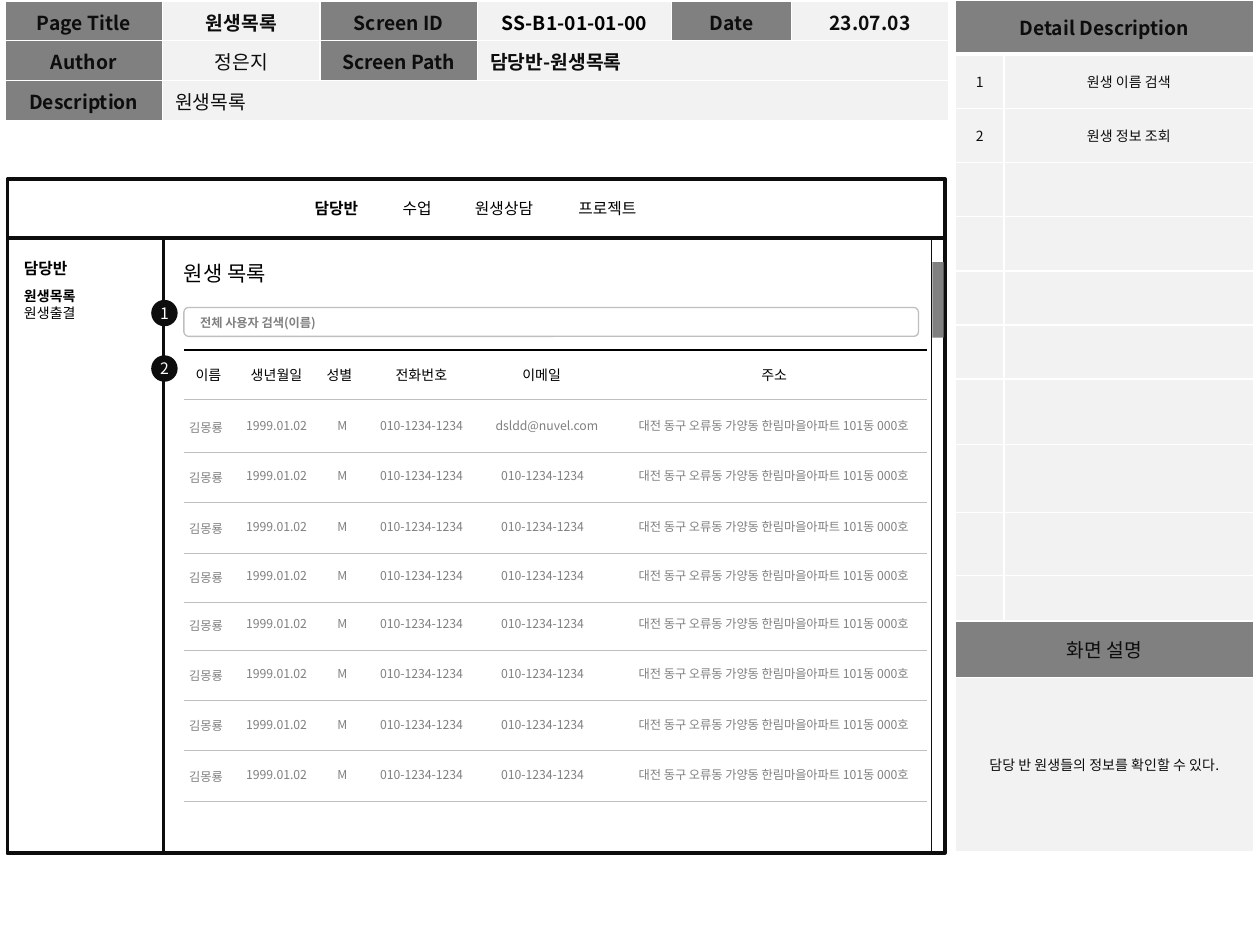
from dataclasses import dataclass
from itertools import accumulate
from lxml.etree import SubElement as Sub
from pptx import Presentation
from pptx.dml.color import RGBColor as Rgb
from pptx.enum.shapes import MSO_CONNECTOR as Conn, MSO_SHAPE as Kind
from pptx.enum.text import MSO_ANCHOR as Anchor, MSO_AUTO_SIZE as Fit, PP_ALIGN as Align
from pptx.oxml.ns import qn
from pptx.util import Inches, Pt


@dataclass(frozen=True)
class Theme:
    face: str = "Noto Sans CJK KR"
    ink: str = "0D0D0D"
    black: str = "000000"
    gray: str = "808080"
    rule: str = "BFBFBF"
    pale: str = "F2F2F2"
    white: str = "FFFFFF"
    head: int = 12
    label: int = 11
    menu: int = 9
    note: int = 8
    data: int = 7


T = Theme()
WIDE, HIGH = Inches(10), Inches(7.5)
COLS, ROWS = 100, 75


def col(n):
    return round(WIDE * n / COLS)


def row(n):
    return round(HIGH * n / ROWS)


def area(x, y, w, h):
    return col(x), row(y), col(w), row(h)


def put(item, **form):
    for key, val in form.items():
        setattr(item, key, val)


def write(par, text, size, color=T.black, bold=False, align=Align.CENTER):
    par.alignment = align
    run = par.add_run()
    run.text = text
    put(run.font, name=T.face, size=Pt(size), bold=bold)
    run.font.color.rgb = Rgb.from_string(color)
    Sub(run.font._element, qn("a:ea"), typeface=T.face)


def label(slide, box, text, size, side=None, **form):
    frame = slide.shapes.add_textbox(*area(*box)).text_frame
    put(frame, word_wrap=False, auto_size=Fit.SHAPE_TO_FIT_TEXT)
    if side is not None:
        put(frame, margin_left=col(side), margin_right=col(side))
    write(frame.paragraphs[0], text, size, **form)


def block(slide, kind, box, fill=None, line=None, width=1):
    shape = slide.shapes.add_shape(kind, *area(*box))
    shape.shadow.inherit = False
    for part, color in ((shape.fill, fill), (shape.line.fill, line)):
        if color:
            part.solid()
            part.fore_color.rgb = Rgb.from_string(color)
        else:
            part.background()
    if line:
        shape.line.width = Pt(width)
    return shape


def rule(slide, y, color, width):
    line = slide.shapes.add_connector(Conn.STRAIGHT, col(14.6), row(y), col(73.6), row(y))
    line.line.color.rgb = Rgb.from_string(color)
    line.line.width = Pt(width)
    Sub(line._element.spPr, qn("a:effectLst"))


def badge(slide, y, text):
    frame = block(slide, Kind.OVAL, (12, y, 2.1, 2.1), fill=T.ink).text_frame
    put(frame, margin_left=0, margin_right=0, margin_top=0, margin_bottom=0,
        word_wrap=False, vertical_anchor=Anchor.MIDDLE)
    write(frame.paragraphs[0], text, T.menu, T.white)


def paint(cell, fill, base=1):
    props = cell._tc.get_or_add_tcPr()
    for side in "LRTB":
        edge = Sub(props, qn(f"a:ln{side}"), w=str(Pt(base if side == "B" else 1)))
        Sub(Sub(edge, qn("a:solidFill")), qn("a:srgbClr"), val=T.white)
    cell.fill.solid()
    cell.fill.fore_color.rgb = Rgb.from_string(fill)
    cell.vertical_anchor = Anchor.MIDDLE
    cell.text_frame.paragraphs[0]._p.get_or_add_endParaRPr().set("sz", str(T.note * 100))


def grid(slide, at, cols, rows):
    shape = slide.shapes.add_table(len(rows), len(cols), *area(*at, sum(cols), sum(rows)))
    table = shape.table
    put(table, first_row=False, horz_banding=False)
    for part, size in zip(table.columns, cols):
        part.width = col(size)
    for part, size in zip(table.rows, rows):
        part.height = row(size)
    return table


def fill_cell(table, r, c, text, size, **form):
    write(table.cell(r, c).text_frame.paragraphs[0], text, size, **form)


def info(slide):
    table = grid(slide, (0.4, 0.1), (12.5, 12.5, 12.5, 15.4, 9.5, 12.5), (3.1, 3.2, 3.2))
    lines = (("Page Title", "원생목록", "Screen ID", "SS-B1-01-01-00", "Date", "23.07.03"),
             ("Author", "정은지", "Screen Path", "담당반-원생목록"),
             ("Description", "원생목록"))
    for r, texts in enumerate(lines):
        last = len(texts) - 1
        for c in range(6):
            paint(table.cell(r, c), T.gray if c <= last and c % 2 == 0 else T.pale)
        if last < 5:
            table.cell(r, last).merge(table.cell(r, 5))
        for c, text in enumerate(texts):
            fill_cell(table, r, c, text, T.label,
                      color=T.black if text.startswith("SS") else T.ink,
                      bold=c % 2 == 0 or r == 0 or "-" in text,
                      align=Align.LEFT if r and c == last else Align.CENTER)


def details(slide):
    heights = [4.3] * 7 + [5.2, 5.4, 5, 3.6, 4.5, 13.8]
    table = grid(slide, (75.8, 0), (3.9, 19.8), heights)
    for r in range(len(heights)):
        for c in range(2):
            paint(table.cell(r, c), T.gray if r in (0, 11) else T.pale, 1 if r else 3)
    for r, text, size in ((0, "Detail Description", T.label), (11, "화면 설명", T.label),
                          (12, "담당 반 원생들의 정보를 확인할 수 있다.", T.note)):
        table.cell(r, 0).merge(table.cell(r, 1))
        fill_cell(table, r, 0, text, size, color=T.ink, bold=r == 0)
    for r, text in enumerate(("원생 이름 검색", "원생 정보 조회"), 1):
        fill_cell(table, r, 0, str(r), T.note, color=T.ink)
        fill_cell(table, r, 1, text, T.note, color=T.ink)


def roster(slide):
    for x, w, text in ((15, 3.1, "이름"), (18.7, 6.5, "생년월일"), (24.8, 4.3, "성별"),
                       (30.2, 6.5, "전화번호"), (40.3, 5.4, "이메일"), (59.3, 4.3, "주소")):
        label(slide, (x, 28.6, w, 2.4), text, T.note, side=0.4)
    rule(slide, 27.8, T.black, 1)
    edges = list(accumulate((4.2, 4, 4, 3.9, 3.8, 4, 4, 4), initial=31.7))
    for y in edges:
        rule(slide, y, T.rule, 0.5)
    phone = "010-1234-1234"
    for i, y in enumerate(edges[1:]):
        mail = (38.3, 9.5, phone) if i else (38.3, 10.2, "dsldd@nuvel.com")
        cells = ((14.4, 3.9, "김몽룡"), (18.5, 6.9, "1999.01.02"), (25.8, 2.5, "M"),
                 (28.7, 9.5, phone), mail,
                 (48.4, 26, "대전 동구 오류동 가양동 한림마을아파트 101동 000호"))
        for c, (x, w, text) in enumerate(cells):
            drop = 0 if c else 0.15
            label(slide, (x, y - 3.2 + drop, w, 2.2), text, T.data,
                  side=None if c else 0.4, color=T.gray)


def search(slide):
    label(slide, (14.9, 24.5, 12.3, 2.2), "전체 사용자 검색(이름)", T.data,
          color=T.gray, bold=True, align=Align.LEFT)
    field = block(slide, Kind.ROUNDED_RECTANGLE, (14.6, 24.4, 58.3, 2.3), line=T.rule, width=0.75)
    field.adjustments[0] = 0.16


def window(slide):
    for box in ((0.6, 18.9, 74.4, 48.8), (0.6, 14.2, 74.4, 4.7), (0.6, 18.9, 12.4, 48.8)):
        block(slide, Kind.RECTANGLE, box, line=T.ink, width=2)
    block(slide, Kind.RECTANGLE, (73.9, 18.9, 1.1, 48.8), line=T.ink, width=0.75)
    block(slide, Kind.RECTANGLE, (74, 20.8, 0.9, 6), fill=T.gray)
    for x, text in ((26.7, "담당반"), (33.1, "수업"), (40, "원생상담"), (48.2, "프로젝트")):
        label(slide, (x - 3.5, 15.3, 7, 2.5), text, T.menu, bold=text == "담당반")


def holder(shape, box):
    put(shape, **dict(zip(("left", "top", "width", "height"), area(*box))))
    put(shape.text_frame, word_wrap=False, auto_size=Fit.NONE, vertical_anchor=Anchor.TOP)
    return shape.text_frame


def headings(slide):
    title, body = slide.placeholders
    frame = holder(title, (13.6, 20.2, 9.3, 3))
    write(frame.paragraphs[0], "원생 목록", T.head, align=Align.LEFT)
    frame = holder(body, (0.9, 20, 6.5, 7.4))
    items = (("담당반", T.menu, True, 6), ("원생목록", T.note, True, 0), ("원생출결", T.note, False, 0))
    for i, (text, size, bold, gap) in enumerate(items):
        par = frame.add_paragraph() if i else frame.paragraphs[0]
        write(par, text, size, bold=bold, align=Align.LEFT)
        put(par, space_before=Pt(0), space_after=Pt(gap))
        props = par._p.get_or_add_pPr()
        for key in ("marL", "indent"):
            props.set(key, "0")
        Sub(props, qn("a:buNone"))


def main():
    deck = Presentation()
    put(deck, slide_width=WIDE, slide_height=HIGH)
    slide = deck.slides.add_slide(deck.slide_layouts[1])
    for draw in (headings, search, roster, info, details, window):
        draw(slide)
    for y, text in ((23.8, "1"), (28.2, "2")):
        badge(slide, y, text)
    deck.save("out.pptx")


if __name__ == "__main__":
    main()
